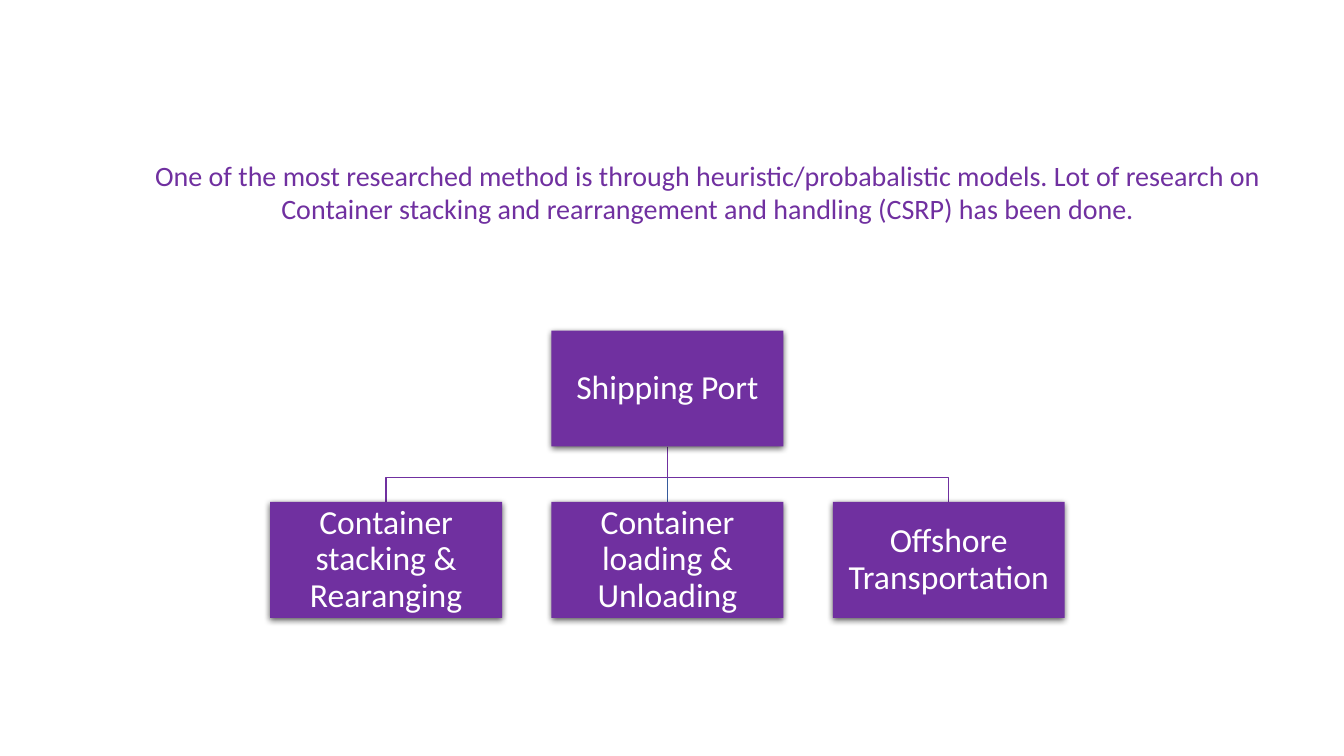
"""Build a slide showing the research areas of a shipping port as a hierarchy."""
from dataclasses import dataclass

from lxml.etree import SubElement
from pptx import Presentation
from pptx.dml.color import RGBColor as Color
from pptx.enum.shapes import MSO_CONNECTOR as Connector, MSO_SHAPE as ShapeKind
from pptx.enum.text import MSO_ANCHOR as Anchor, PP_ALIGN as Align
from pptx.oxml.ns import qn
from pptx.shapes.autoshape import Shape
from pptx.slide import Slide
from pptx.text.text import TextFrame
from pptx.util import Inches, Pt


@dataclass(frozen=True)
class Theme:
    font: str = "Calibri"
    purple: Color = Color(0x70, 0x30, 0xA0)
    blue: Color = Color(0x36, 0x5B, 0x9D)
    white: Color = Color(0xFF, 0xFF, 0xFF)
    intro_size: int = 20
    box_size: int = 24
    line_width: int = 1


@dataclass(frozen=True)
class Box:
    text: str
    left: float
    top: float

    @property
    def center(self) -> float:
        return self.left + BOX_WIDTH / 2


THEME = Theme()
BOX_WIDTH, BOX_HEIGHT = 2.3, 1.15
COLUMN_LEFT, COLUMN_STEP = 2.68, 2.79
PORT_TOP, AREA_TOP, BRANCH_Y = 3.28, 4.98, 4.74
INTRO = (
    "One of the most researched method is through heuristic/probabalistic models. "
    "Lot of research on Container stacking and rearrangement and handling (CSRP) has been done."
)
PORT = Box("Shipping Port", COLUMN_LEFT + COLUMN_STEP, PORT_TOP)
AREAS = [
    Box(text, COLUMN_LEFT + column * COLUMN_STEP, AREA_TOP)
    for column, text in enumerate((
        "Container stacking & Rearanging",
        "Container loading & Unloading",
        "Offshore Transportation",
    ))
]


def write_text(frame: TextFrame, text: str, size: int, color: Color, spacing: float) -> None:
    frame.word_wrap = True
    paragraph = frame.paragraphs[0]
    paragraph.text = text
    paragraph.alignment = Align.CENTER
    paragraph.line_spacing = spacing
    paragraph.font.name = THEME.font
    paragraph.font.size = Pt(size)
    paragraph.font.color.rgb = color


def add_shadow(shape: Shape) -> None:
    shape.shadow.inherit = False
    effects = shape._element.spPr.find(qn("a:effectLst"))
    shadow = SubElement(
        effects, qn("a:outerShdw"), blurRad=str(Pt(4.5)), dist=str(Pt(1.5)),
        dir="5400000", algn="ctr", rotWithShape="0",
    )
    color = SubElement(shadow, qn("a:srgbClr"), val="000000")
    SubElement(color, qn("a:alpha"), val="63000")


def add_box(slide: Slide, box: Box) -> None:
    shape = slide.shapes.add_shape(
        ShapeKind.RECTANGLE, Inches(box.left), Inches(box.top),
        Inches(BOX_WIDTH), Inches(BOX_HEIGHT),
    )
    shape.fill.solid()
    shape.fill.fore_color.rgb = THEME.purple
    shape.line.fill.background()
    add_shadow(shape)
    frame = shape.text_frame
    frame.vertical_anchor = Anchor.MIDDLE
    frame.margin_left = frame.margin_right = Inches(0.02)
    frame.margin_top = frame.margin_bottom = Inches(0.02)
    write_text(frame, box.text, THEME.box_size, THEME.white, 0.9)


def add_straight_branch(slide: Slide, parent: Box, child: Box) -> None:
    branch = slide.shapes.add_connector(
        Connector.STRAIGHT, Inches(parent.center), Inches(parent.top + BOX_HEIGHT),
        Inches(child.center), Inches(child.top),
    )
    branch.line.color.rgb = THEME.blue
    branch.line.width = Pt(THEME.line_width)
    SubElement(branch._element.spPr, qn("a:effectLst"))


def add_bent_branch(slide: Slide, parent: Box, child: Box) -> None:
    builder = slide.shapes.build_freeform(
        Inches(parent.center), Inches(parent.top + BOX_HEIGHT)
    )
    corners = ((parent.center, BRANCH_Y), (child.center, BRANCH_Y), (child.center, child.top))
    builder.add_line_segments([(Inches(x), Inches(y)) for x, y in corners], close=False)
    branch = builder.convert_to_shape()
    branch.fill.background()
    branch.line.color.rgb = THEME.purple
    branch.line.width = Pt(THEME.line_width)
    branch.shadow.inherit = False


def add_intro(slide: Slide) -> None:
    intro = slide.shapes.add_textbox(Inches(1.28), Inches(1.52), Inches(11.48), Inches(0.77))
    write_text(intro.text_frame, INTRO, THEME.intro_size, THEME.purple, 1.0)


def main() -> None:
    presentation = Presentation()
    presentation.slide_width, presentation.slide_height = Inches(13.33), Inches(7.5)
    slide = presentation.slides.add_slide(presentation.slide_layouts.get_by_name("Blank"))
    add_intro(slide)
    for area in reversed(AREAS):
        add_branch = add_straight_branch if area.left == PORT.left else add_bent_branch
        add_branch(slide, PORT, area)
    for box in (PORT, *AREAS):
        add_box(slide, box)
    presentation.save("out.pptx")


if __name__ == "__main__":
    main()
